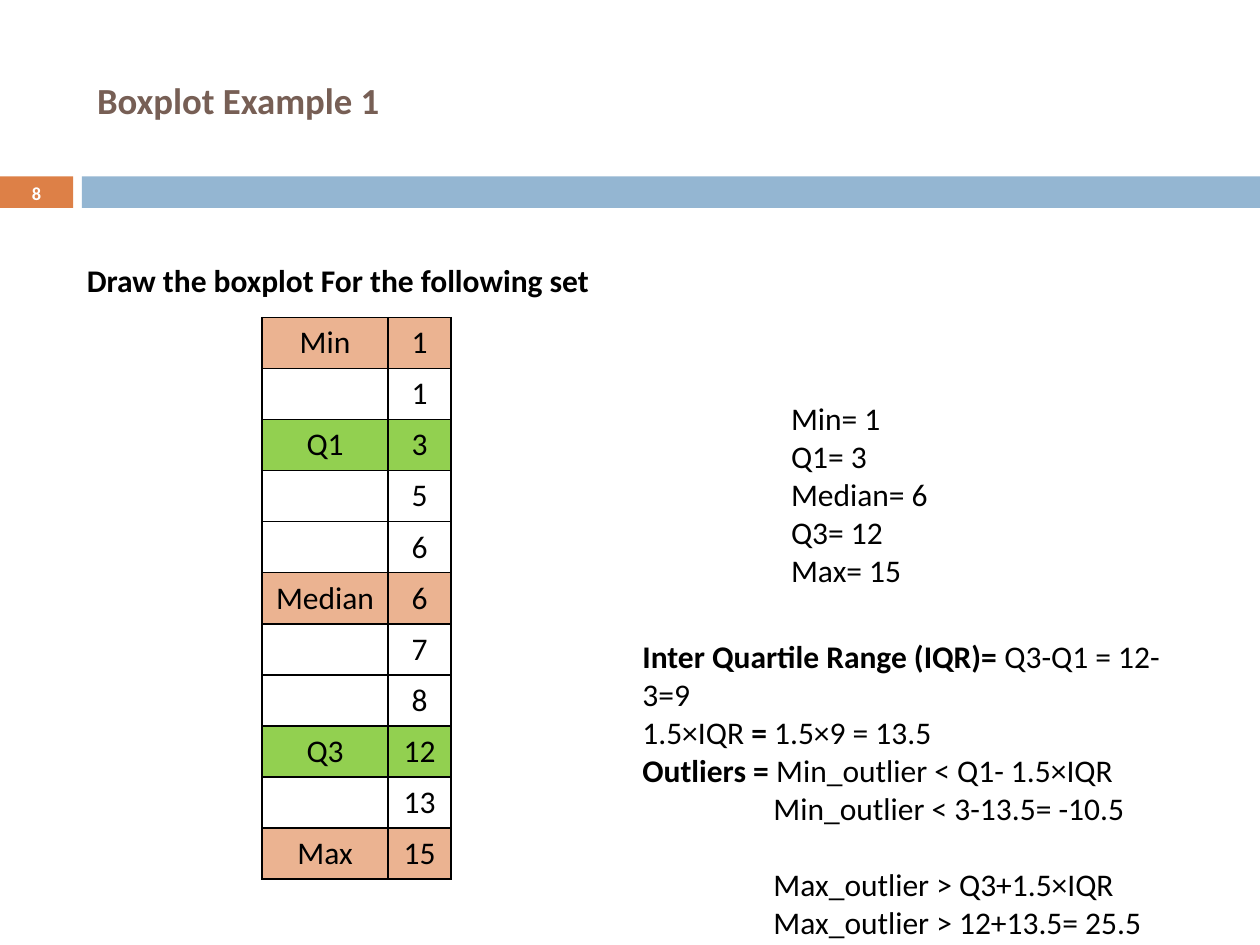
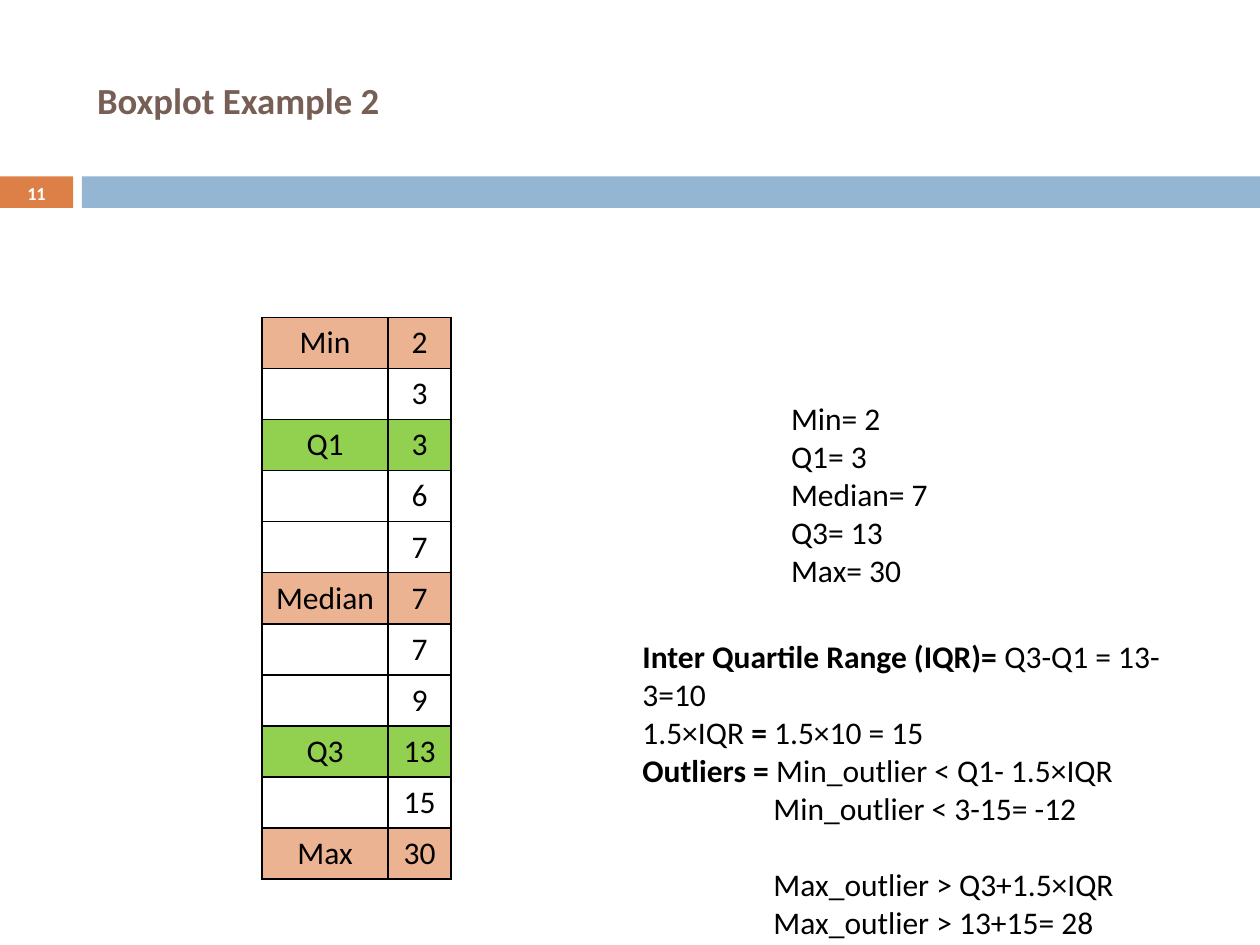
from dataclasses import dataclass

import pptx
import pptx.chart.data
import pptx.dml.color
import pptx.enum.shapes
import pptx.enum.text
import pptx.oxml
import pptx.oxml.ns
import pptx.util
from pptx.util import Inches

Align = pptx.enum.text.PP_ALIGN
Anchor = pptx.enum.text.MSO_ANCHOR


@dataclass(frozen=True)
class Theme:
    font: str = "Calibri"
    title: str = "775F55"
    text: str = "000000"
    white: str = "FFFFFF"
    tab: str = "DD8047"
    band: str = "94B6D2"
    peach: str = "EBB391"
    green: str = "92D050"
    head: float = 21
    body: float = 18
    small: float = 10.5
    gap: float = 22
    rule: float = 1


@dataclass(frozen=True)
class Box:
    left: float
    top: float
    width: float
    height: float

    def place(self) -> tuple:
        return tuple(Inches(n) for n in (self.left, self.top, self.width, self.height))


@dataclass(frozen=True)
class Run:
    text: str
    bold: bool = False


@dataclass(frozen=True)
class Line:
    runs: tuple[Run, ...]
    indent: float = 0
    gap: float = 0


@dataclass(frozen=True)
class Case:
    title: str
    number: int
    values: tuple[int, ...]
    task: str = ""


THEME = Theme()
MARKS = {
    0: ("Min", THEME.peach),
    2: ("Q1", THEME.green),
    5: ("Median", THEME.peach),
    8: ("Q3", THEME.green),
    10: ("Max", THEME.peach),
}
CASES = (
    Case("Boxplot Example 1", 8, (1, 1, 3, 5, 6, 6, 7, 8, 12, 13, 15),
         "Draw the boxplot For the following set"),
    Case("Boxplot Example 2", 11, (2, 3, 3, 6, 7, 7, 7, 9, 13, 15, 30)),
)


def paint(code: str) -> pptx.dml.color.RGBColor:
    return pptx.dml.color.RGBColor.from_string(code)


def style(para, size: float = THEME.body, color: str = THEME.text,
          bold: bool = False, align=Align.LEFT) -> None:
    para.font.name = THEME.font
    para.font.size = pptx.util.Pt(size)
    para.font.color.rgb = paint(color)
    para.font.bold = bold
    para.alignment = align


def add_band(slide, box: Box, color: str) -> None:
    band = slide.shapes.add_shape(pptx.enum.shapes.MSO_SHAPE.RECTANGLE, *box.place())
    band.shadow.inherit = False
    band.fill.solid()
    band.fill.fore_color.rgb = paint(color)
    band.line.fill.background()


def add_text(slide, box: Box, lines: list[Line], wrap: bool = False, **look):
    frame = slide.shapes.add_textbox(*box.place()).text_frame
    frame.word_wrap = wrap
    for i, line in enumerate(lines):
        para = frame.add_paragraph() if i else frame.paragraphs[0]
        style(para, **look)
        if line.gap:
            para.space_before = pptx.util.Pt(line.gap)
        if line.indent:
            props = para._p.get_or_add_pPr()
            props.set("marL", str(Inches(line.indent)))
            props.set("indent", "0")
        for part in line.runs:
            run = para.add_run()
            run.text = part.text
            if len(line.runs) > 1:
                run.font.bold = part.bold
    return frame


def add_frame(slide, case: Case) -> None:
    add_band(slide, Box(0, 1.4, 0.58, 0.25), THEME.tab)
    add_band(slide, Box(0.65, 1.4, 9.35, 0.25), THEME.band)
    title = slide.shapes.title
    title.left, title.top, title.width, title.height = Box(0.67, 0.25, 8.92, 1.08).place()
    title.text_frame.text = case.title
    title.text_frame.vertical_anchor = Anchor.MIDDLE
    style(title.text_frame.paragraphs[0], THEME.head, THEME.title, True)
    page = add_text(slide, Box(0, 1.4, 0.58, 0.27), [Line((Run(str(case.number)),))], True,
                    size=THEME.small, color=THEME.white, bold=True, align=Align.CENTER)
    page.vertical_anchor = Anchor.MIDDLE


def add_edges(cell) -> None:
    props = cell._tc.get_or_add_tcPr()
    space = pptx.oxml.ns.nsdecls("a")
    for side in "LRTB":
        props.append(pptx.oxml.parse_xml(
            f'<a:ln{side} {space} w="{pptx.util.Pt(THEME.rule)}"><a:solidFill>'
            f'<a:srgbClr val="{THEME.text}"/></a:solidFill></a:ln{side}>'))


def add_data(slide, values: tuple[int, ...]) -> None:
    box = Box(2.08, 2.52, 1.5, 4.46)
    table = slide.shapes.add_table(len(values), 2, *box.place()).table
    table.first_row = table.horz_banding = False
    for col, width in zip(table.columns, (1, 0.5)):
        col.width = Inches(width)
    for i, value in enumerate(values):
        label, color = MARKS.get(i, ("", ""))
        for j, text in enumerate((label, str(value))):
            cell = table.cell(i, j)
            cell.text = text
            cell.vertical_anchor = Anchor.MIDDLE
            style(cell.text_frame.paragraphs[0], align=Align.CENTER)
            add_edges(cell)
            if color:
                cell.fill.solid()
                cell.fill.fore_color.rgb = paint(color)
            else:
                cell.fill.background()


def add_sums(slide, values: tuple[int, ...]) -> None:
    marks = {label: values[i] for i, (label, _) in MARKS.items()}
    add_text(slide, Box(6.18, 3.12, 1.34, 1.62),
             [Line((Run(f"{label}= {value}"),)) for label, value in marks.items()])
    low, high = marks["Q1"], marks["Q3"]
    span = high - low
    reach = 1.5 * span
    inset = 1.04
    add_text(slide, Box(5, 5.01, 4.51, 2.52), [
        Line((Run("Inter Quartile Range (IQR)= ", True),
              Run(f"Q3-Q1 = {high}-{low}={span}"))),
        Line((Run("1.5×IQR"), Run(" = ", True), Run(f"1.5×{span} = {reach:g}"))),
        Line((Run("Outliers = ", True), Run("Min_outlier < Q1- 1.5×IQR"))),
        Line((Run(f"Min_outlier < {low}-{reach:g}= {low - reach:g}"),), inset),
        Line((Run("Max_outlier > Q3+1.5×IQR"),), inset, THEME.gap),
        Line((Run(f"Max_outlier > {high}+{reach:g}= {high + reach:g}"),), inset),
    ], True)


def add_case(deck, case: Case) -> None:
    slide = deck.slides.add_slide(deck.slide_layouts[5])
    add_frame(slide, case)
    if case.task:
        add_text(slide, Box(0.59, 2.02, 4.29, 0.4), [Line((Run(case.task),))], bold=True)
    add_sums(slide, case.values)
    add_data(slide, case.values)


deck = pptx.Presentation()
deck.slide_width, deck.slide_height = Inches(10), Inches(7.5)
for case in CASES:
    add_case(deck, case)
deck.save("out.pptx")
